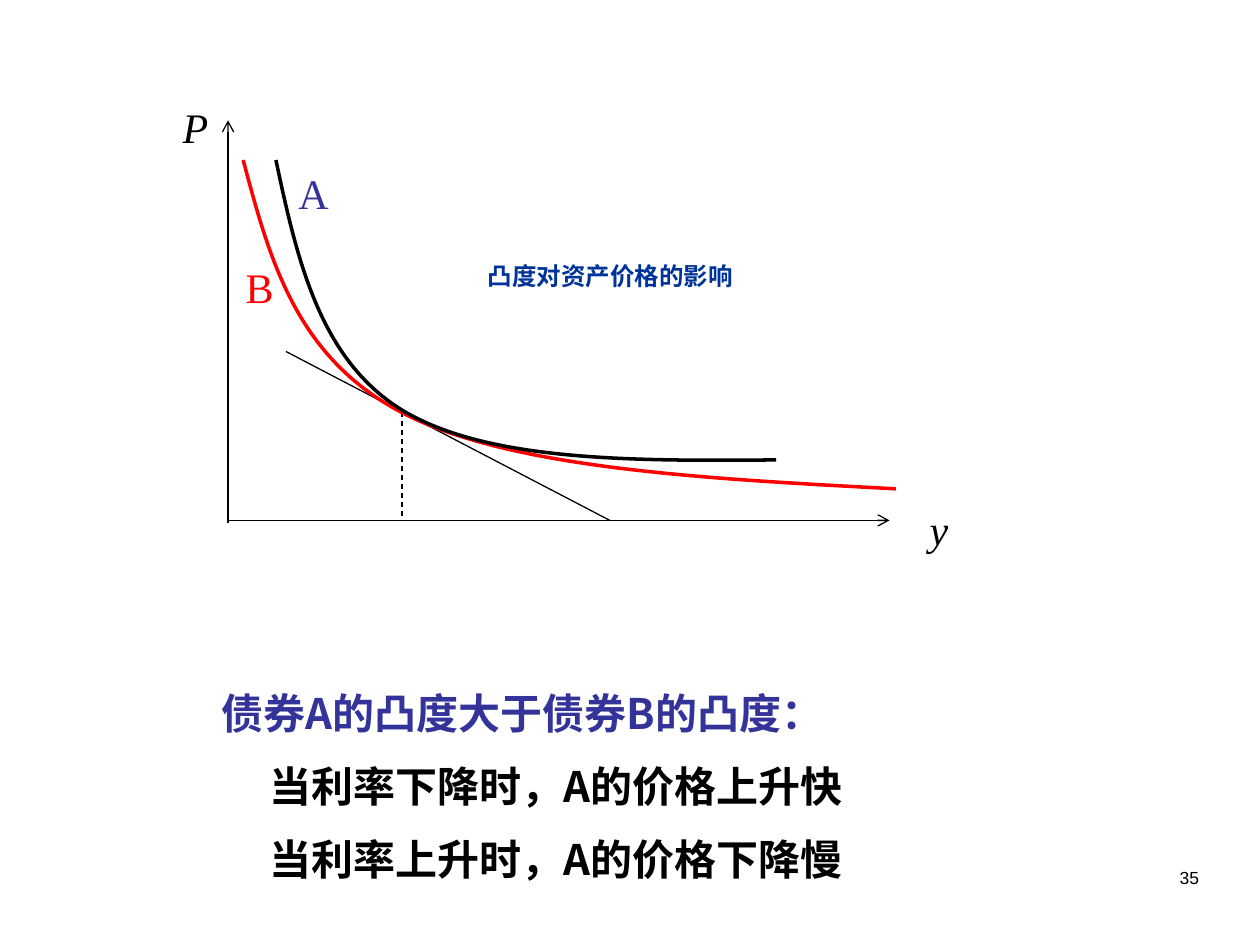
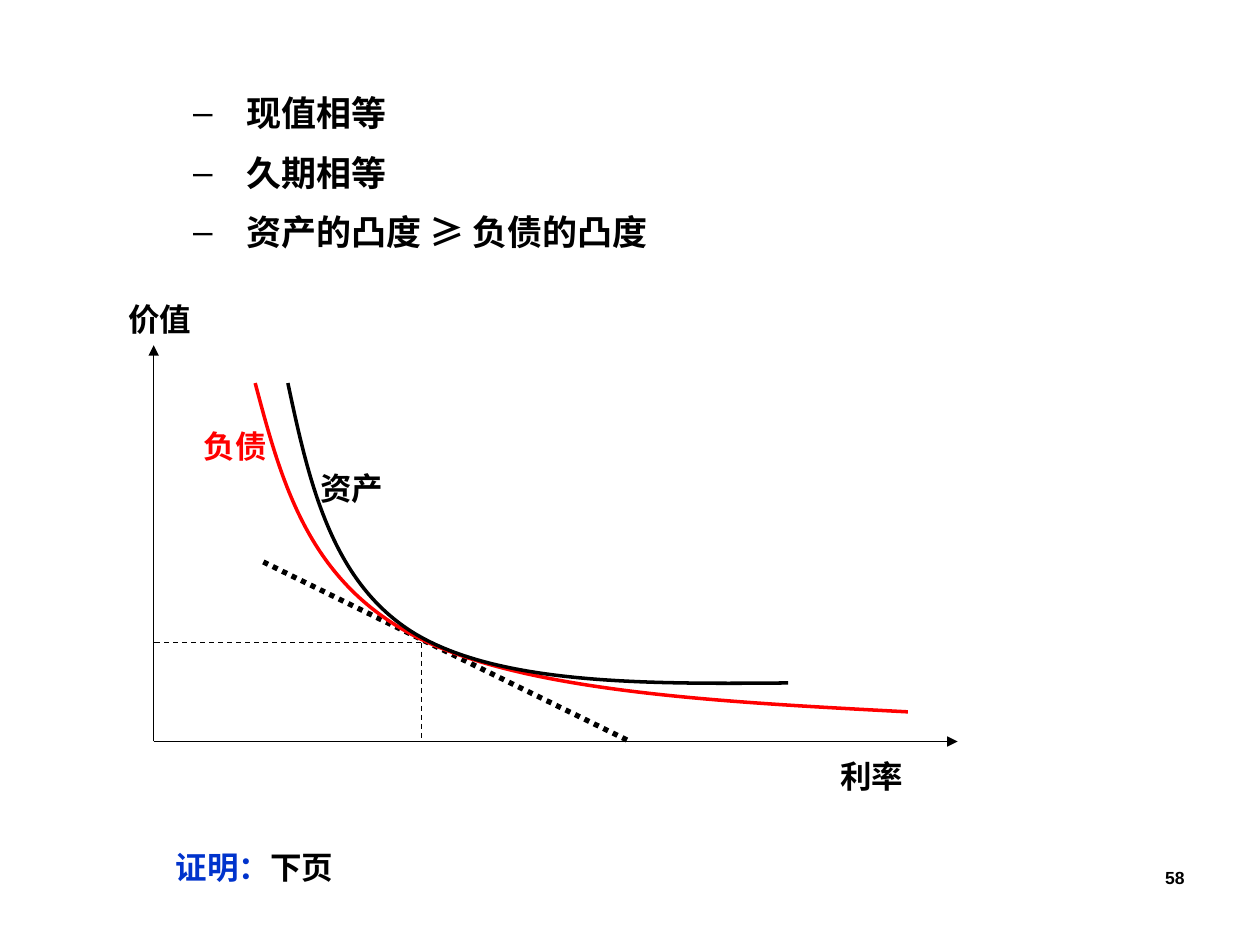
from dataclasses import dataclass

import lxml.etree
import pptx
import pptx.dml.color
import pptx.enum.dml
import pptx.enum.lang
import pptx.enum.shapes
import pptx.enum.text
import pptx.oxml.ns
import pptx.util

# Grid: 100 columns by 75 rows over a 10 x 7.5 inch slide
WIDTH, HEIGHT = pptx.util.Inches(10), pptx.util.Inches(7.5)
COLUMN, ROW = WIDTH / 100, HEIGHT / 75

# Shared colours and fonts
BLACK, RED, INDIGO = "000000", "FF0000", "333399"
NAVY, BLUE = "003399", "0033CC"
SERIF, SANS, CHINESE = "Times New Roman", "Arial", "Noto Sans CJK SC"

ALIGN = pptx.enum.text.PP_ALIGN
DASH = pptx.enum.dml.MSO_LINE

Point = tuple[float, float]


@dataclass
class Label:
    """Text box: one paragraph per line, each a list of (text, colour) spans."""
    left: float
    top: float
    width: float
    height: float
    lines: list[list[tuple[str, str]]]
    size: float
    font: str = SANS
    bold: bool = True
    italic: bool = False
    wrap: bool = True
    align: ALIGN = ALIGN.LEFT
    line_spacing: float = 1.0
    space_before: float = 0
    margins: tuple[float, ...] = (0,)  # left margin per line, last one repeats
    hanging: float = 0  # width kept for the bullet
    bullet: str = ""


@dataclass
class Line:
    start: Point
    end: Point
    weight: float = 0.75
    dash: DASH | None = None
    arrow: str = ""


@dataclass
class Curve:
    """Two cubic Bezier pieces: seven control points."""
    colour: str
    points: list[Point]


# The two price curves, placed on each slide by an offset
CURVES = [
    Curve(RED, [(19.3, 12.7), (21.4, 20.6), (23.5, 28.5), (32.2, 32.9),
                (40.8, 37.2), (55.9, 38), (71.1, 38.8)]),
    Curve(BLACK, [(21.9, 12.7), (23.6, 20.7), (25.4, 28.6), (32, 32.6),
                  (38.7, 36.6), (50.1, 36.6), (61.6, 36.5)]),
]


def rgb(colour: str) -> pptx.dml.color.RGBColor:
    return pptx.dml.color.RGBColor.from_string(colour)


def x(columns: float) -> int:
    return round(columns * COLUMN)


def y(rows: float) -> int:
    return round(rows * ROW)


def add_child(parent, tag: str, **attributes: str):
    return lxml.etree.SubElement(parent, pptx.oxml.ns.qn(tag), attributes)


def draw_label(page, label: Label) -> None:
    box = page.shapes.add_textbox(x(label.left), y(label.top), x(label.width), y(label.height))
    frame = box.text_frame
    frame.word_wrap = label.wrap
    for index, spans in enumerate(label.lines):
        para = frame.add_paragraph() if index else frame.paragraphs[0]
        para.alignment = label.align
        para.line_spacing = label.line_spacing
        para.space_before = pptx.util.Pt(label.space_before)
        properties = para._p.get_or_add_pPr()
        margin = label.margins[min(index, len(label.margins) - 1)]
        properties.set("marL", str(x(margin)))
        properties.set("indent", str(-x(label.hanging)))
        if label.bullet:
            add_child(properties, "a:buFont", typeface=SANS)
            add_child(properties, "a:buChar", char=label.bullet)
        font = para.font
        font.name, font.size = label.font, pptx.util.Pt(label.size)
        font.bold, font.italic = label.bold, label.italic
        font.language_id = pptx.enum.lang.MSO_LANGUAGE_ID.SIMPLIFIED_CHINESE
        font.color.rgb = rgb(spans[0][1])
        add_child(properties.find(pptx.oxml.ns.qn("a:defRPr")), "a:ea", typeface=CHINESE)
        for text, colour in spans:
            span = para.add_run()
            span.text = text
            if colour != spans[0][1]:
                span.font.color.rgb = rgb(colour)


def draw_line(page, line: Line) -> None:
    connector = page.shapes.add_connector(
        pptx.enum.shapes.MSO_CONNECTOR.STRAIGHT,
        x(line.start[0]), y(line.start[1]), x(line.end[0]), y(line.end[1]))
    connector.line.color.rgb = rgb(BLACK)
    connector.line.width = pptx.util.Pt(line.weight)
    if line.dash:
        connector.line.dash_style = line.dash
    if line.arrow:
        add_child(connector.line._get_or_add_ln(), "a:tailEnd", type=line.arrow)
    add_child(connector._element.spPr, "a:effectLst")


def draw_curve(page, curve: Curve, offset: Point) -> None:
    vertices = [(x(px + offset[0]), y(py + offset[1])) for px, py in curve.points]
    builder = page.shapes.build_freeform(*vertices[0])
    builder.add_line_segments(vertices[1:], close=False)
    shape = builder.convert_to_shape()
    # Turn each three straight segments into one cubic Bezier piece
    outline = next(shape._element.iter(pptx.oxml.ns.qn("a:path")))
    segments = outline.findall(pptx.oxml.ns.qn("a:lnTo"))
    for first in range(0, len(segments), 3):
        piece = add_child(outline, "a:cubicBezTo")
        for segment in segments[first:first + 3]:
            piece.append(segment[0])
            outline.remove(segment)
    shape.shadow.inherit = False
    shape.fill.background()
    shape.line.color.rgb = rgb(curve.colour)
    shape.line.width = pptx.util.Pt(2)


def draw_page(deck, labels: list[Label], lines: list[Line], offset: Point) -> None:
    page = deck.slides.add_slide(deck.slide_layouts[6])
    for label in labels:
        draw_label(page, label)
    for line in lines:
        draw_line(page, line)
    for curve in CURVES:
        draw_curve(page, curve, offset)


def page_number(left: float, number: str, bold: bool) -> Label:
    return Label(left, 68.3, 23.3, 5, [[(number, BLACK)]], 10, bold=bold, align=ALIGN.RIGHT)


def symbol(left: float, top: float, text: str, colour: str = BLACK,
           italic: bool = False) -> Label:
    return Label(left, top, 5.5, 5, [[(text, colour)]], 24, SERIF, bold=False, italic=italic)


def caption(left: float, top: float, *spans: tuple[str, str], width: float = 7.1) -> Label:
    return Label(left, top, width, 4, [list(spans)], 18, wrap=False)


def main() -> None:
    deck = pptx.Presentation()
    deck.slide_width, deck.slide_height = WIDTH, HEIGHT

    # Effect of convexity on price
    draw_page(
        deck,
        [
            page_number(72.85, "35", bold=False),
            Label(33.8, 20.2, 29.3, 4.8, [[("凸度对资产价格的影响", NAVY)]], 14, SERIF,
                  align=ALIGN.CENTER),
            Label(16.6, 52.3, 63.7, 18.6,
                  [[("债券A的凸度大于债券B的凸度：", INDIGO)],
                   [("当利率下降时，A的价格上升快", BLACK)],
                   [("当利率上升时，A的价格下降慢", BLACK)]],
                  24, CHINESE, line_spacing=1.45, margins=(0, 3.8)),
            symbol(13.5, 7.6, "P", italic=True),
            symbol(18.5, 20.3, "B", RED),
            symbol(22.7, 12.8, "A", INDIGO),
            symbol(72.8, 39.5, "y", italic=True),
        ],
        [
            Line((18.1, 41.3), (70.6, 41.3), arrow="arrow"),
            Line((18.1, 41.5), (18.1, 9.55), arrow="arrow"),
            Line((31.9, 32.7), (31.9, 41.3), dash=DASH.DASH),
            Line((22.7, 27.9), (48.4, 41.3)),
        ],
        offset=(0, 0),
    )

    # Immunization conditions
    conditions = ["现值相等", "久期相等", "资产的凸度 ≥ 负债的凸度"]
    origin, tangency = (12.2, 58.85), (33.45, 51)
    draw_page(
        deck,
        [
            page_number(71.7, "58", bold=True),
            Label(3.55, 6.8, 90, 48.7, [[(text, BLACK)] for text in conditions], 20, SERIF,
                  space_before=10, margins=(15,), hanging=4.2, bullet="–"),
            caption(15.2, 33.4, ("负债", RED)),
            caption(24.45, 36.7, ("资产", BLACK)),
            caption(65.7, 59.6, ("利率", BLACK)),
            caption(9.2, 23.3, ("价值", BLACK)),
            caption(12.95, 66.8, ("证明：", BLUE), ("下页", BLACK), width=14.7),
        ],
        [
            Line(origin, (76, origin[1]), arrow="triangle"),
            Line(origin, (origin[0], 27.4), arrow="triangle"),
            Line(tangency, (tangency[0], origin[1]), dash=DASH.DASH),
            Line(tangency, (origin[0], tangency[1]), dash=DASH.DASH),
            Line((20.9, 44.6), (50, origin[1]), weight=3, dash=DASH.ROUND_DOT),
        ],
        offset=(0.95, 17.7),
    )
    deck.save("out.pptx")


if __name__ == "__main__":
    main()
